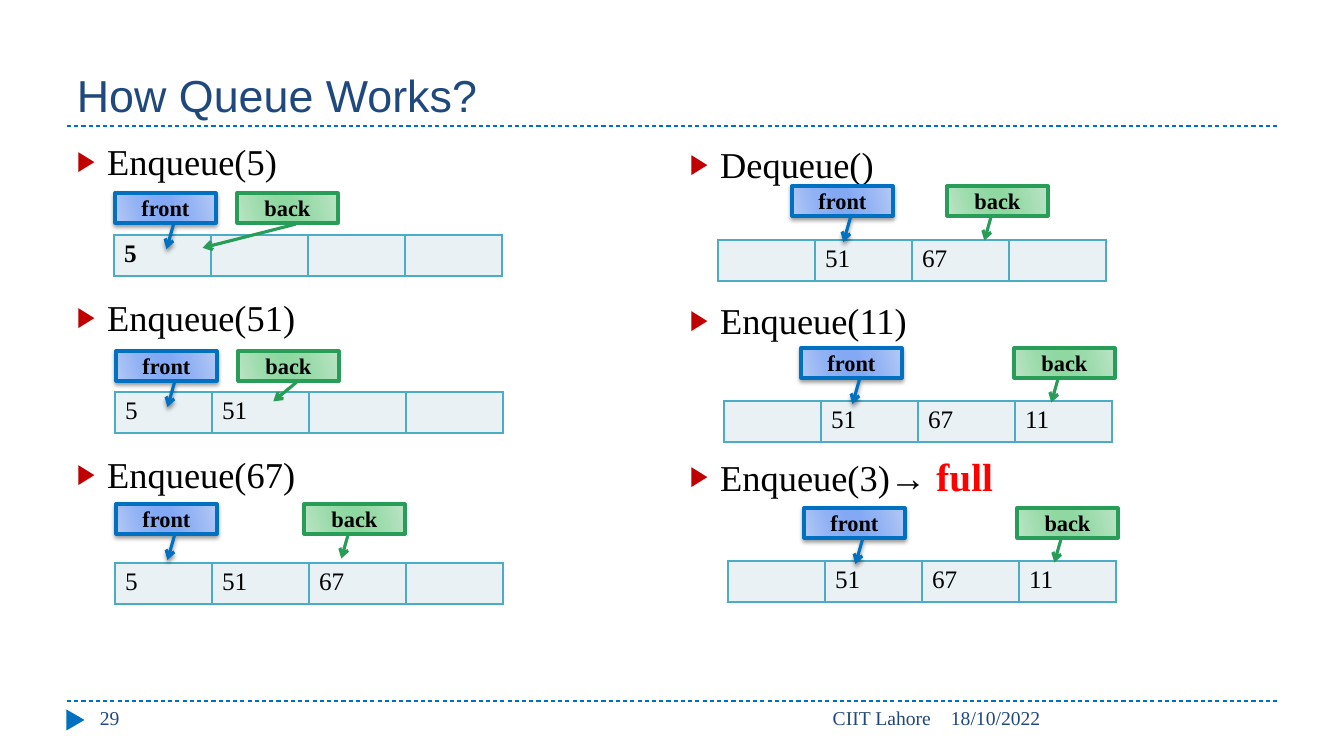
from lxml import etree
from pptx import Presentation
from pptx import util as u
from pptx.dml.color import RGBColor
from pptx.enum import dml, shapes, text
from pptx.oxml.ns import qn

PX = 12192000 / 1344
SERIF, SANS = "Times New Roman", "Arial"
NAVY = RGBColor(0x1F, 0x49, 0x7D)
BLUE = RGBColor(0x00, 0x70, 0xC0)
GREEN = RGBColor(0x27, 0x9D, 0x57)
BLACK = RGBColor(0, 0, 0)
RED = RGBColor(0xFF, 0, 0)
CRIMSON = RGBColor(0xC0, 0, 0)
TEAL = RGBColor(0x4B, 0xAC, 0xC6)
PALE = RGBColor(0xE9, 0xF1, 0xF5)
BLUES = [RGBColor.from_string(c) for c in ("B4C9F6", "90B1F4", "83A9F4")]
GREENS = [RGBColor.from_string(c) for c in ("BBE4C5", "9BDBAB", "8FD8A1")]
STOPS = ((0, 0), (30, 1), (45, 2), (55, 2), (73, 1), (100, 0))  # percent, shade

CELL_W, CELL_H = 97, 41
TAG_W, TAG_H = 101, 30
# Pointer of a tag: start y, start x, tip y, tip x, as shares of the tag
STEEP = (1.04, 0.42, 1.87, 0.49)
SLANT = (1.04, 0.42, 1.68, 0.65)
FLAT = (1.04, 0.42, 1.83, 1.34)
SHORT = (0.99, 0.56, 1.82, 0.63)


def px(*nums):
    return [u.Emu(round(n * PX)) for n in nums]


def sub(node, tag, **attrs):
    child = etree.SubElement(node, qn("a:" + tag))
    for key, val in attrs.items():
        child.set(key, str(val))
    return child


def write(para, words, size, color, font=SERIF, bold=False):
    run = para.add_run()
    run.text = words
    run.font.name, run.font.size, run.font.bold = font, u.Pt(size), bold
    run.font.color.rgb = color


def frame(slide, box):
    body = slide.shapes.add_textbox(*px(*box)).text_frame
    body.word_wrap = True
    return body


def rule(slide, x, y, width):
    line = slide.shapes.add_connector(
        shapes.MSO_CONNECTOR.STRAIGHT, *px(x, y, x + width, y))
    line.line.color.rgb = BLUE
    line.line.width = u.Pt(0.75)
    line.line.dash_style = dml.MSO_LINE.DASH
    sub(line._element.spPr, "effectLst")


def header(slide, box):
    x, y, width, height = box
    body = frame(slide, box)
    body.vertical_anchor = text.MSO_ANCHOR.BOTTOM
    write(body.paragraphs[0], "How Queue Works?", 32, NAVY, SANS)
    rule(slide, x, y + height, width)


def footer(slide, box):
    x, y, width, height = box
    rule(slide, x, y, width)
    mark = slide.shapes.add_shape(
        shapes.MSO_SHAPE.ISOSCELES_TRIANGLE, *px(x - 2, y + 10, 21, 18))
    mark.rotation = 90
    mark.shadow.inherit = False
    mark.fill.solid()
    mark.fill.fore_color.rgb = BLUE
    mark.line.fill.background()
    left, right = text.PP_ALIGN.LEFT, text.PP_ALIGN.RIGHT
    for words, dx, wide, align in (("29", 23, 291, left),
                                   ("CIIT Lahore", 359, 515, right),
                                   ("18/10/2022", 874, 336, left)):
        para = frame(slide, (x + dx, y, wide, height)).paragraphs[0]
        para.alignment = align
        write(para, words, 14, NAVY)


def tag(slide, x, y, word, color, shades, tip, shadow):
    """Label box with an arrow that points into a queue."""
    box = slide.shapes.add_shape(
        shapes.MSO_SHAPE.LINE_CALLOUT_1, *px(x, y, TAG_W, TAG_H))
    for i, share in enumerate(tip):
        box.adjustments[i] = share
    props = box._element.spPr
    props.find(qn("a:xfrm")).set("flipH", "1")
    box.fill.gradient()
    box.fill.gradient_angle = 344
    stops = props.find(qn("a:gradFill")).find(qn("a:gsLst"))
    for old in list(stops):
        stops.remove(old)
    for pos, shade in STOPS:
        sub(sub(stops, "gs", pos=pos * 1000), "srgbClr", val=shades[shade])
    box.line.color.rgb = color
    box.line.width = u.Pt(2.25)
    sub(props.find(qn("a:ln")), "tailEnd", type="arrow")
    box.shadow.inherit = False
    if shadow:
        cast = sub(props.find(qn("a:effectLst")), "outerShdw", blurRad=u.Pt(3),
                   dist=u.Pt(2), dir=5400000, rotWithShape=0)
        sub(sub(cast, "srgbClr", val=BLACK), "alpha", val=40000)
    body = box.text_frame
    body.margin_top = body.margin_bottom = 0
    body.vertical_anchor = text.MSO_ANCHOR.MIDDLE
    body.paragraphs[0].alignment = text.PP_ALIGN.CENTER
    write(body.paragraphs[0], word, 16, BLACK, bold=True)


def queue(slide, x, y, items, lift, front, back, tip, bold=False):
    """Row of cells, with its two tags raised by lift above it."""
    table = slide.shapes.add_table(
        1, len(items), *px(x, y, CELL_W * len(items), CELL_H)).table
    table.first_row = table.horz_banding = False
    for cell, item in zip(table.iter_cells(), items):
        props = cell._tc.get_or_add_tcPr()
        for side in ("lnL", "lnR", "lnT", "lnB"):
            edge = sub(props, side, w=u.Pt(1))
            sub(sub(edge, "solidFill"), "srgbClr", val=TEAL)
        cell.fill.solid()
        cell.fill.fore_color.rgb = PALE
        if item:
            write(cell.text_frame.paragraphs[0], item, 18, BLACK, bold=bold)
    tag(slide, x + front, y - lift, "front", BLUE, BLUES, STEEP, True)
    tag(slide, x + back, y - lift, "back", GREEN, GREENS, tip, False)


def column(slide, box, heads, queues):
    """Bulleted steps, with the queue after each step below its heading."""
    x, y = box[:2]
    body = frame(slide, box)
    for i, (head, note) in enumerate(heads):
        para = body.paragraphs[0] if i == 0 else body.add_paragraph()
        props = para._p.get_or_add_pPr()
        props.set("marL", str(u.Inches(0.3)))
        props.set("indent", str(u.Inches(-0.3)))
        para.line_spacing = u.Pt(31)
        if i:
            para.space_before = u.Pt(81)
        sub(sub(props, "buClr"), "srgbClr", val=CRIMSON)
        sub(props, "buSzPct", val=76000)
        sub(props, "buFont", typeface=SANS)
        sub(props, "buChar", char="▶")
        write(para, head, 26, BLACK)
        if note:
            write(para, note, 28, RED, bold=True)
    for dx, dy, *rest in queues:
        queue(slide, x + dx, y + dy, *rest)


def main():
    deck = Presentation()
    deck.slide_width, deck.slide_height = px(1344, 756)
    slide = deck.slides.add_slide(deck.slide_layouts[6])
    header(slide, (67, 17, 1210, 109))
    column(slide, (67, 134, 597, 544),
           [("Enqueue(5)", ""), ("Enqueue(51)", ""), ("Enqueue(67)", "")],
           [(47, 101, ("5", "", "", ""), 42, 1, 123, FLAT, True),
            (48, 258, ("5", "51", "", ""), 41, 1, 123, SLANT),
            (48, 429, ("5", "51", "67", ""), 59, 1, 189, SHORT)])
    column(slide, (680, 137, 597, 544),
           [("Dequeue()", ""), ("Enqueue(11)", ""), ("Enqueue(3)→", " full")],
           [(38, 103, ("", "51", "67", ""), 54, 74, 229, SHORT),
            (44, 264, ("", "51", "67", "11"), 53, 77, 290, SHORT),
            (48, 424, ("", "51", "67", "11"), 53, 76, 289, SHORT)])
    footer(slide, (67, 701, 1210, 40))
    deck.save("out.pptx")


if __name__ == "__main__":
    main()
